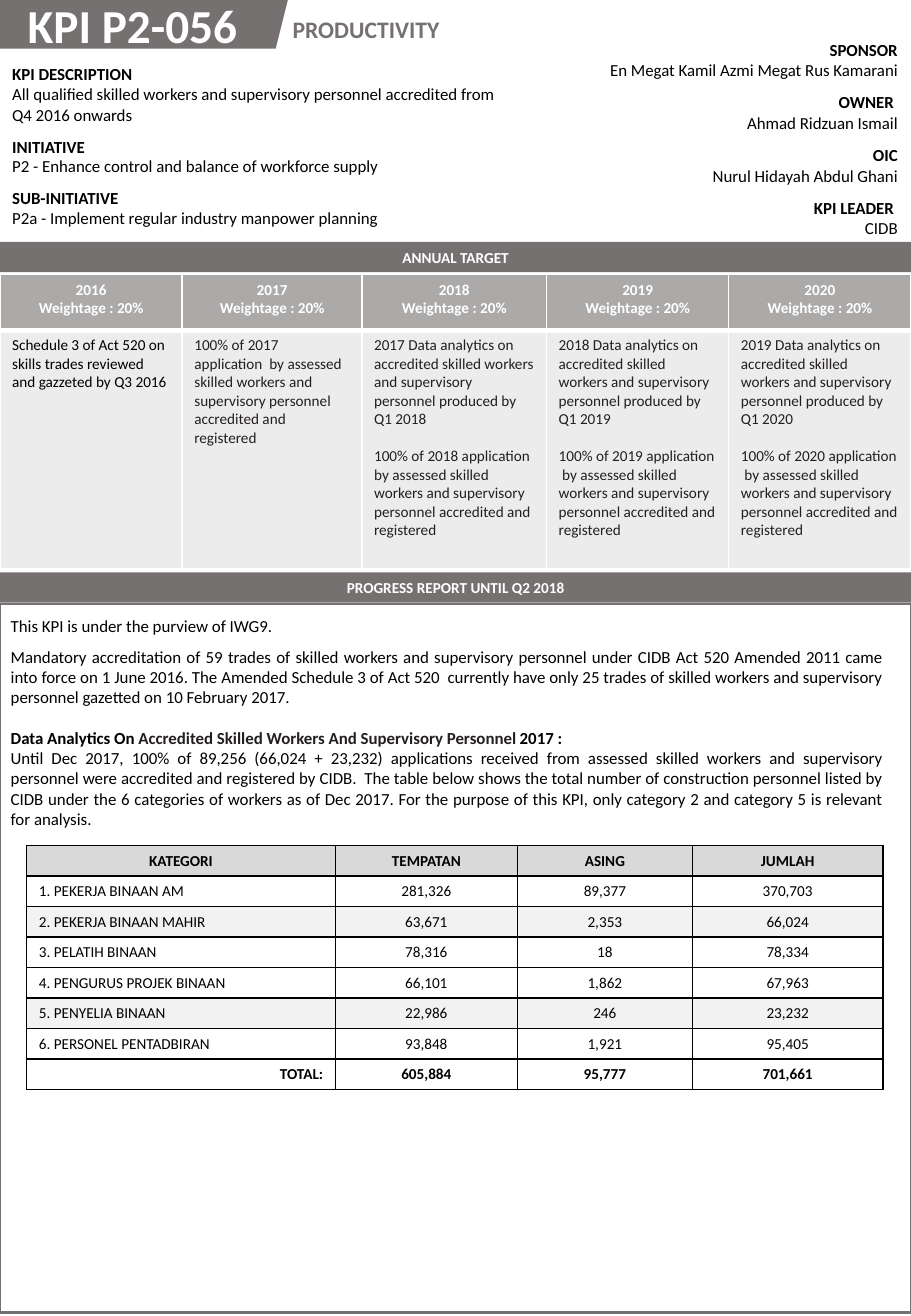
"""Build the KPI P2-056 report page with its targets and accreditation figures."""
import lxml.etree
import pptx
import pptx.dml.color
import pptx.enum.shapes
import pptx.enum.text
import pptx.oxml.ns
import pptx.util

PX = 9144
THEME = {
    "font": "Calibri", "gray": "767171", "white": "FFFFFF", "black": "000000", "ink": "231F20",
    "head": "D9D9D9", "stripe": "F2F2F2",
    "title": 28, "area": 14, "body": 10, "small": 9,
}
NO_STYLE = "{2D5ABB26-0587-4C30-8999-92F81FD0307C}"
LEFT, CENTER, RIGHT, JUSTIFY = (
    pptx.enum.text.PP_ALIGN[n] for n in ("LEFT", "CENTER", "RIGHT", "JUSTIFY"))
MIDDLE = pptx.enum.text.MSO_ANCHOR.MIDDLE
SHAPE = pptx.enum.shapes.MSO_SHAPE
qn = pptx.oxml.ns.qn
rgb = pptx.dml.color.RGBColor.from_string


def write(tf, lines, size="body", color="black", align=LEFT):
    """Fill a text frame with (text, bold, space before) lines."""
    for i, (text, bold, before) in enumerate(lines):
        p = tf.add_paragraph() if i else tf.paragraphs[0]
        p.text = text
        p.alignment = align
        if before:
            p.space_before = pptx.util.Pt(before)
        for r in p.runs:
            r.font.name = THEME["font"]
            r.font.size = pptx.util.Pt(THEME[size])
            r.font.bold = bold
            r.font.color.rgb = rgb(THEME[color])


def add_grid(s, left, top, widths, heights, line=None):
    """Add a plain table, with one-point borders if a line colour is given."""
    box = [v * PX for v in (left, top, sum(widths), sum(heights))]
    table = s.shapes.add_table(len(heights), len(widths), *box).table
    table.first_row = table.horz_banding = False
    table._tbl.tblPr.find(qn("a:tableStyleId")).text = NO_STYLE
    for column, width in zip(table.columns, widths):
        column.width = width * PX
    for row, height in zip(table.rows, heights):
        row.height = height * PX
    for cell in table.iter_cells():
        for edge in ("lnL", "lnR", "lnT", "lnB") if line else ():
            ln = lxml.etree.SubElement(cell._tc.get_or_add_tcPr(), qn(f"a:{edge}"), w="12700")
            fill = lxml.etree.SubElement(ln, qn("a:solidFill"))
            lxml.etree.SubElement(fill, qn("a:srgbClr"), val=THEME[line])
        cell.fill.background()
    return table


prs = pptx.Presentation()
prs.slide_width, prs.slide_height = 750 * PX, 1083 * PX
s = prs.slides.add_slide(prs.slide_layouts[6])

shapes = [
    (SHAPE.PARALLELOGRAM, -17, 0, 254, 40, ""),
    (SHAPE.RECTANGLE, 0, 497, 750, 583, None),
    (SHAPE.RECTANGLE, 0, 471, 750, 25, "PROGRESS REPORT UNTIL Q2 2018"),
    (SHAPE.RECTANGLE, 0, 199, 750, 25, "ANNUAL TARGET"),
]
for kind, left, top, width, height, label in shapes:
    sp = s.shapes.add_shape(kind, left * PX, top * PX, width * PX, height * PX)
    sp.shadow.inherit = False
    if label is None:
        sp.fill.background()
        sp.line.color.rgb = rgb(THEME["gray"])
        sp.line.width = pptx.util.Pt(1.5)
        continue
    sp.fill.solid()
    sp.fill.fore_color.rgb = rgb(THEME["gray"])
    sp.line.fill.background()
    if label:
        sp.text_frame.vertical_anchor = MIDDLE
        write(sp.text_frame, [(label, True, 0)], "small", "white", CENTER)

titles = [
    (231, 7, 145, 34, "PRODUCTIVITY", "area", "gray", False),
    (13, -8, 224, 57, "KPI P2-056", "title", "white", True),
]
for left, top, width, height, text, size, color, wrap in titles:
    tf = s.shapes.add_textbox(left * PX, top * PX, width * PX, height * PX).text_frame
    tf.word_wrap = wrap
    write(tf, [(text, True, 0)], size, color)

people = [
    ("SPONSOR", "En Megat Kamil Azmi Megat Rus Kamarani"),
    ("OWNER ", "Ahmad Ridzuan Ismail"),
    ("OIC", "Nurul Hidayah Abdul Ghani"),
    ("KPI LEADER ", "CIDB"),
]
scope = [
    ("KPI DESCRIPTION",
     "All qualified skilled workers and supervisory personnel accredited from Q4 2016 onwards"),
    ("INITIATIVE", "P2 - Enhance control and balance of workforce supply"),
    ("SUB-INITIATIVE", "P2a - Implement regular industry manpower planning"),
]
scope_table = add_grid(s, 0, 48, [430], [60, 42, 43])
people_table = add_grid(s, 472, 28, [277], [43] * 4)
for table, entries, align in ((scope_table, scope, LEFT), (people_table, people, RIGHT)):
    for cell, (label, value) in zip(table.iter_cells(), entries):
        write(cell.text_frame, [(label, True, 0), (value, False, 0)], align=align)
scope_table.cell(1, 0).text_frame.paragraphs[1].line_spacing = 0.88

accredited = "application  by assessed skilled workers and supervisory personnel accredited and registered"
targets = {
    2016: ["Schedule 3 of Act 520 on skills trades reviewed and gazzeted by Q3 2016"],
    2017: [f"100% of 2017 {accredited}"],
}
for year in (2018, 2019, 2020):
    targets[year] = [
        f"{year - 1} Data analytics on accredited skilled workers and supervisory personnel "
        f"produced by Q1 {year}",
        f"100% of {year} {accredited}",
    ]
annual = add_grid(s, 0, 226, [150, 148, 152, 150, 150], [46, 196], "white")
for col, (year, goals) in enumerate(targets.items()):
    head, body = annual.cell(0, col), annual.cell(1, col)
    write(head.text_frame, [(str(year), True, 0), ("Weightage : 20%", True, 0)],
          "small", "white", CENTER)
    write(body.text_frame, [(goal, False, 11 * i) for i, goal in enumerate(goals)],
          "small", "ink" if col else "black")
    for cell, edge, alpha in ((head, "lnB", 60000), (body, "lnT", 13000)):
        cell._tc.tcPr.find(qn(f"a:{edge}")).set("w", "38100")
        cell.fill.solid()
        cell.fill.fore_color.rgb = rgb(THEME["gray"])
        tint = cell._tc.tcPr.find(qn("a:solidFill")).find(qn("a:srgbClr"))
        lxml.etree.SubElement(tint, qn("a:alpha"), val=str(alpha))

report = [
    ("This KPI is under the purview of IWG9.", False, 0),
    ("Mandatory accreditation of 59 trades of skilled workers and supervisory personnel under CIDB "
     "Act 520 Amended 2011 came into force on 1 June 2016. The Amended Schedule 3 of Act 520  "
     "currently have only 25 trades of skilled workers and supervisory personnel gazetted on "
     "10 February 2017.", False, 6),
    ("Data Analytics On ", True, 12),
    ("Until Dec 2017, 100% of 89,256 (66,024 + 23,232) applications received from assessed skilled "
     "workers and supervisory personnel were accredited and registered by CIDB.  The table below "
     "shows the total number of construction personnel listed by CIDB under the 6 categories of "
     "workers as of Dec 2017. For the purpose of this KPI, only category 2 and category 5 is "
     "relevant for analysis.", False, 0),
]
tf = s.shapes.add_textbox(-1 * PX, 502 * PX, 737 * PX, 190 * PX).text_frame
tf.word_wrap = True
write(tf, report, align=JUSTIFY)
heading = tf.paragraphs[2]
for text, color in (("Accredited Skilled Workers And Supervisory Personnel ", "ink"),
                    ("2017 :", "black")):
    r = heading.add_run()
    r.text = text
    r.font.name, r.font.bold = THEME["font"], True
    r.font.size = pptx.util.Pt(THEME["body"])
    r.font.color.rgb = rgb(THEME[color])
for i in (0, 2):
    tf.paragraphs[i].alignment = LEFT

workers = [
    ("KATEGORI", "TEMPATAN", "ASING", "JUMLAH"),
    ("1. PEKERJA BINAAN AM", "281,326", "89,377", "370,703"),
    ("2. PEKERJA BINAAN MAHIR", "63,671", "2,353", "66,024"),
    ("3. PELATIH BINAAN", "78,316", "18", "78,334"),
    ("4. PENGURUS PROJEK BINAAN", "66,101", "1,862", "67,963"),
    ("5. PENYELIA BINAAN", "22,986", "246", "23,232"),
    ("6. PERSONEL PENTADBIRAN", "93,848", "1,921", "95,405"),
    ("TOTAL:", "605,884", "95,777", "701,661"),
]
row_fills = {0: "head", 2: "stripe", 5: "stripe"}
label_aligns = {0: CENTER, 7: RIGHT}
worker_table = add_grid(s, 22, 696, [254, 150, 144, 157], [25] * len(workers), "black")
for i, row in enumerate(workers):
    for j, text in enumerate(row):
        cell = worker_table.cell(i, j)
        cell.vertical_anchor = MIDDLE
        align = CENTER if j else label_aligns.get(i, LEFT)
        write(cell.text_frame, [(text, i in label_aligns, 0)], "small", align=align)
        if i in row_fills:
            cell.fill.solid()
            cell.fill.fore_color.rgb = rgb(THEME[row_fills[i]])

prs.save("out.pptx")
